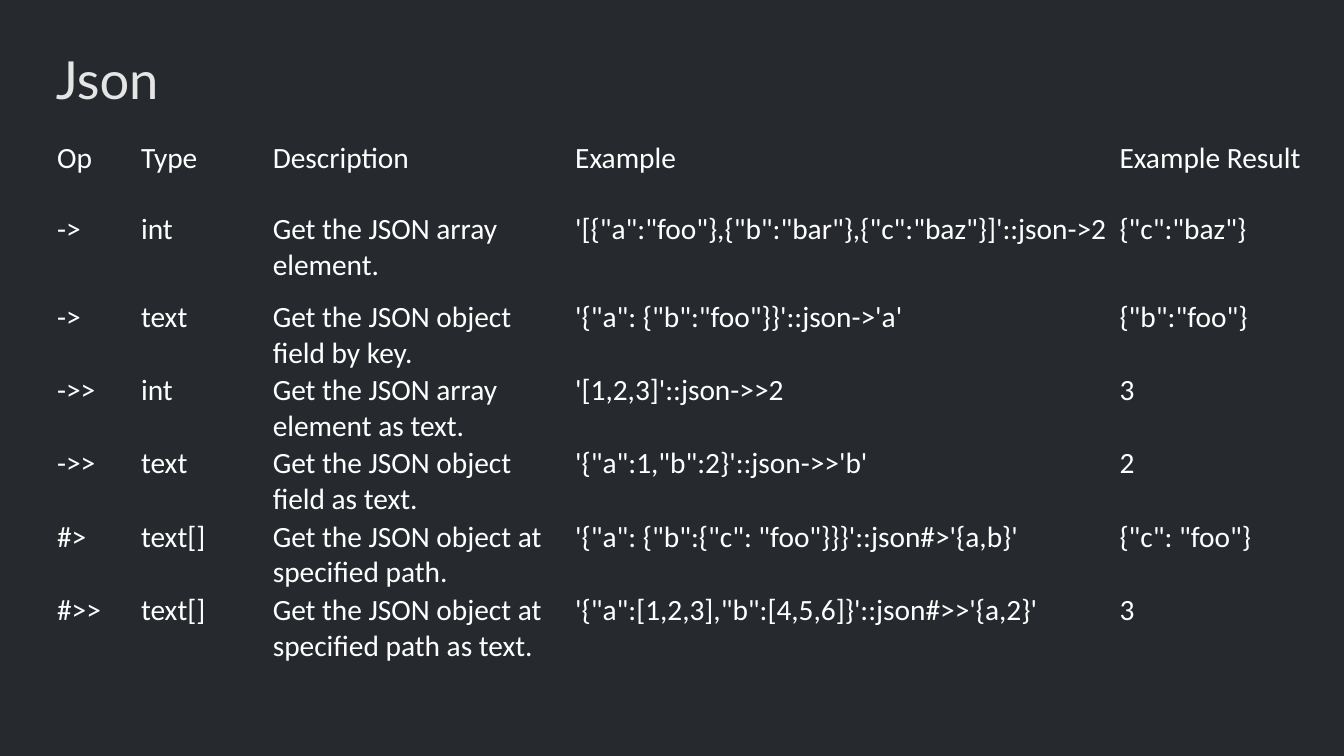
from dataclasses import dataclass

from pptx import Presentation
from pptx.dml.color import RGBColor as Color
from pptx.util import Emu, Pt

SCALE = 9144


@dataclass(frozen=True)
class Theme:
    back: str = "262A2F"
    head: str = "E5E5E5"
    body: str = "FFFFFF"
    head_font: str = "Lato"
    body_font: str = "Calibri"
    head_size: float = 56.2
    body_size: float = 31.5
    head_line: float = 56.3
    plain: str = "{2D5ABB26-0587-4C30-8999-92F81FD0307C}"


THEME = Theme()
COLS = [125, 196, 450, 810, 280]
ROWS = [106, 131, 80, 106, 80, 106, 106]
CELLS = [
    ["Op", "Type", "Description", "Example", "Example Result"],
    ["->", "int", "Get the JSON array element.",
     """'[{"a":"foo"},{"b":"bar"},{"c":"baz"}]'::json->2""", '{"c":"baz"}'],
    ["->", "text", "Get the JSON object\nfield by key.",
     """'{"a": {"b":"foo"}}'::json->'a'""", '{"b":"foo"}'],
    ["->>", "int", "Get the JSON array element as text.",
     "'[1,2,3]'::json->>2", "3"],
    ["->>", "text", "Get the JSON object\nfield as text.",
     """'{"a":1,"b":2}'::json->>'b'""", "2"],
    ["#>", "text[]", "Get the JSON object at specified path.",
     """'{"a": {"b":{"c": "foo"}}}'::json#>'{a,b}'""", '{"c": "foo"}'],
    ["#>>", "text[]", "Get the JSON object at specified path as text.",
     """'{"a":[1,2,3],"b":[4,5,6]}'::json#>>'{a,2}'""", "3"],
]


def px(num):
    return Emu(num * SCALE)


def inset(part, num):
    part.margin_left = part.margin_right = px(num)
    part.margin_top = part.margin_bottom = px(num)


def write(para, text, font, size, color):
    run = para.add_run()
    run.text = text
    run.font.name = font
    run.font.size = Pt(size)
    run.font.color.rgb = Color.from_string(color)


def add_title(slide, box, text):
    frame = slide.shapes.add_textbox(*map(px, box)).text_frame
    frame.word_wrap = True
    inset(frame, 0)
    para = frame.paragraphs[0]
    para.line_spacing = Pt(THEME.head_line)
    write(para, text, THEME.head_font, THEME.head_size, THEME.head)


def fill_cell(cell, text):
    cell.fill.background()
    inset(cell, 2)
    frame = cell.text_frame
    for i, line in enumerate(text.split("\n")):
        para = frame.add_paragraph() if i else frame.paragraphs[0]
        write(para, line, THEME.body_font, THEME.body_size, THEME.body)


def add_grid(slide, spot, cols, rows, cells):
    box = (*spot, sum(cols), sum(rows))
    shape = slide.shapes.add_table(len(rows), len(cols), *map(px, box))
    shape.element.xpath(".//a:tableStyleId")[0].text = THEME.plain
    table = shape.table
    table.first_row = table.horz_banding = False
    for col, width in zip(table.columns, cols):
        col.width = px(width)
    for row, height, texts in zip(table.rows, rows, cells):
        row.height = px(height)
        for cell, text in zip(row.cells, texts):
            fill_cell(cell, text)


def main():
    deck = Presentation()
    deck.slide_width, deck.slide_height = px(2000), px(1125)
    slide = deck.slides.add_slide(deck.slide_layouts[6])
    fill = slide.background.fill
    fill.solid()
    fill.fore_color.rgb = Color.from_string(THEME.back)
    add_title(slide, (83, 85, 1792, 197), "Json")
    add_grid(slide, (83, 207), COLS, ROWS, CELLS)
    deck.save("out.pptx")


if __name__ == "__main__":
    main()
